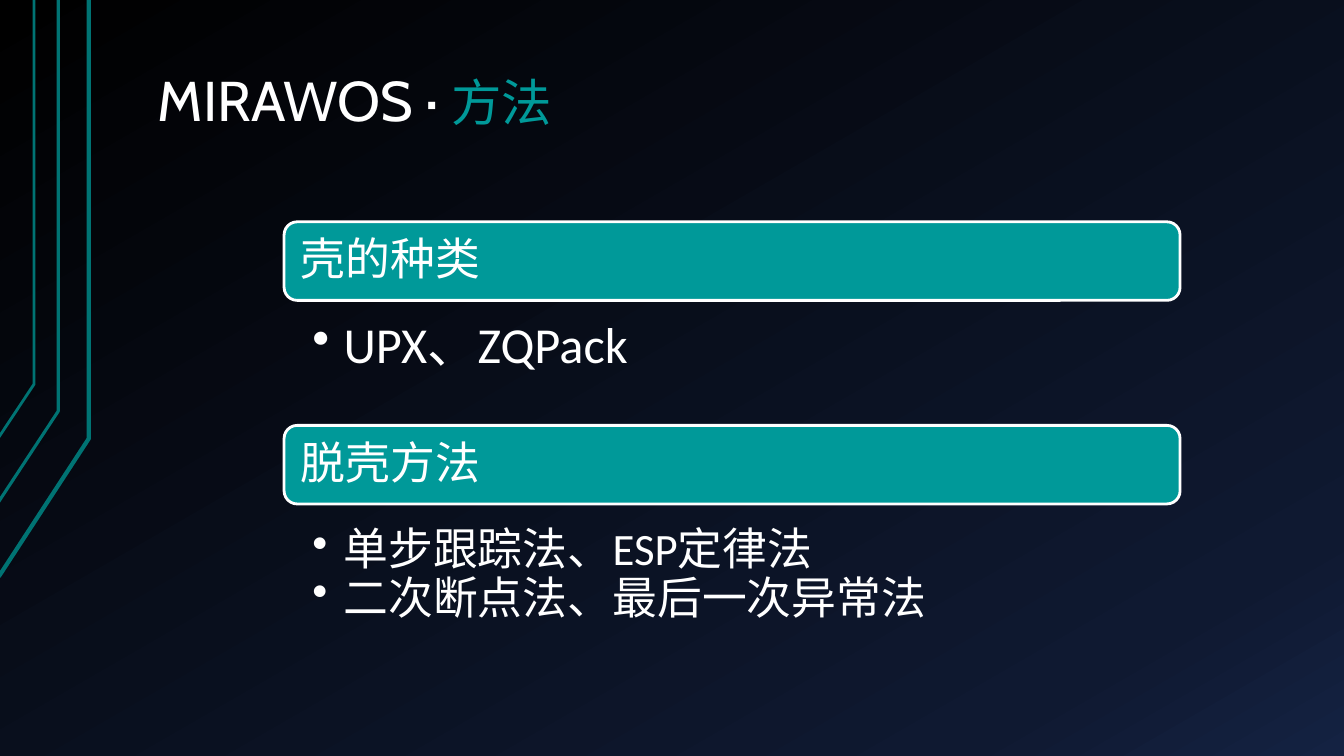
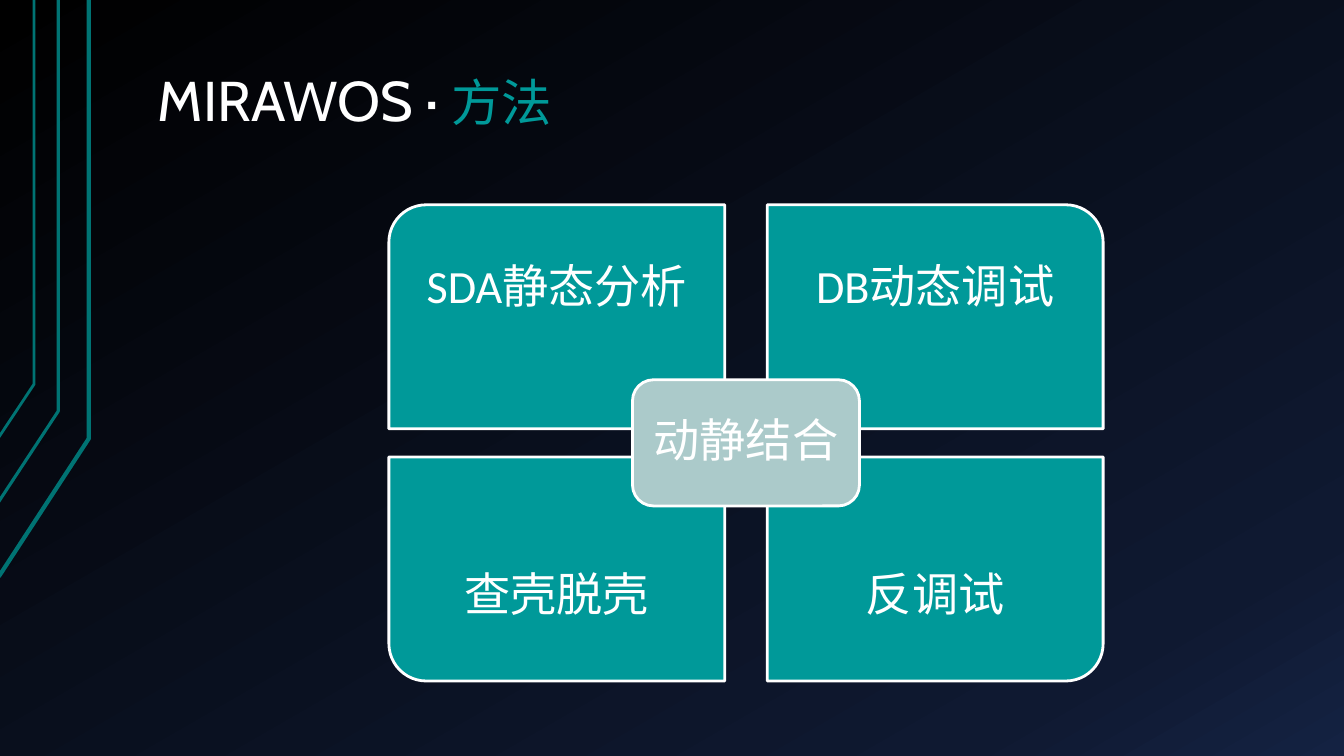
from copy import deepcopy

from lxml import etree
from pptx import Presentation
from pptx.dml.color import RGBColor
from pptx.enum import shapes as es, text as et
from pptx.oxml import ns
from pptx.util import Cm, Pt

WHITE = RGBColor(0xFF, 0xFF, 0xFF)
TEAL = RGBColor(0x00, 0x99, 0x99)
DEEP = RGBColor(0x00, 0x73, 0x73)
PALE = RGBColor(0xAB, 0xCA, 0xCA)
STOPS = [(0, RGBColor(0x00, 0x00, 0x00)),
         (0.85, RGBColor(0x0F, 0x19, 0x31)),
         (1, RGBColor(0x14, 0x22, 0x42))]
RAILS = [(2.24, 11.05, -0.03, 14.53, 3),
         (1.47, 10.36, -0.05, 12.67, 2.25),
         (0.86, 9.68, -0.03, 11.02, 2)]
KIND = es.MSO_SHAPE


def write(shape, lines, size=32, font="Calibri", color=WHITE, align=et.PP_ALIGN.LEFT,
          anchor=et.MSO_ANCHOR.MIDDLE, pad=(0.33, 0.33), space=0.9, dots=False):
    """Fill a shape with lines, each a string or a list of (text, size, colour) runs."""
    frame = shape.text_frame
    frame.word_wrap = True
    frame.vertical_anchor = anchor
    frame.margin_left = frame.margin_right = Cm(pad[0])
    frame.margin_top = frame.margin_bottom = Cm(pad[1])
    for i, line in enumerate(lines):
        para = frame.add_paragraph() if i else frame.paragraphs[0]
        para.alignment, para.line_spacing = align, space
        if dots:
            props = para._p.get_or_add_pPr()
            props.set("marL", str(Cm(0.79)))
            props.set("indent", str(-Cm(0.79)))
            etree.SubElement(props, ns.qn("a:buChar")).set("char", "•")
        for words, points, tint in [(line, size, color)] if isinstance(line, str) else line:
            run = para.add_run()
            run.text = words
            run.font.size, run.font.name = Pt(points), font
            run.font.color.rgb = tint


def area(slide, x, y, w, h, lines, **style):
    """Add a text box."""
    write(slide.shapes.add_textbox(Cm(x), Cm(y), Cm(w), Cm(h)), lines, **style)


def card(slide, kind, x, y, w, h, fill=TEAL, turn=0):
    """Add a filled card that covers the given box after its turn."""
    wide, high = (h, w) if turn % 180 else (w, h)
    shape = slide.shapes.add_shape(kind, Cm(x + (w - wide) / 2), Cm(y + (h - high) / 2),
                                   Cm(wide), Cm(high))
    shape.rotation = turn
    shape.shadow.inherit = False
    shape.fill.solid()
    shape.fill.fore_color.rgb = fill
    shape.line.color.rgb = WHITE
    shape.line.width = Pt(2)
    return shape


def base(deck):
    """Add a slide with the gradient, the side rails and the title."""
    slide = deck.slides.add_slide(deck.slide_layouts[6])
    fill = slide.background.fill
    fill.gradient()
    fill.gradient_angle = 300
    last = slide._element.xpath(".//a:gs")[-1]
    last.addnext(deepcopy(last))
    for stop, (place, color) in zip(fill.gradient_stops, STOPS):
        stop.position, stop.color.rgb = place, color
    for x, bend, left, foot, width in RAILS:
        path = slide.shapes.build_freeform(Cm(left), Cm(foot))
        path.add_line_segments([(Cm(x), Cm(bend)), (Cm(x), 0)], close=False)
        rail = path.convert_to_shape()
        rail.shadow.inherit = False
        rail.fill.background()
        rail.line.color.rgb = DEEP
        rail.line.width = Pt(width)
    area(slide, 3.73, 1.52, 10.64, 3.68, [[("MIRAWOS · ", 40, WHITE), ("方法", 36, TEAL)]],
         font="Cabin", anchor=et.MSO_ANCHOR.TOP, pad=(0.25, 0.13), space=1)
    return slide


def group(slide, x, y, w, head, items, size, gap):
    """Add a heading bar with its bullet list below."""
    high = 1.98
    write(card(slide, KIND.ROUNDED_RECTANGLE, x, y, w, high), [head])
    area(slide, x, y + high + gap, w, 1.9 * len(items), items, size=size, dots=True,
         anchor=et.MSO_ANCHOR.TOP, pad=(0.71, 0.12))


def grid(slide, x, y, w, h, names, core):
    """Add four quarter cards around a central card."""
    wide, high = (w - 1.07) / 2, (h - 0.71) / 2
    style = dict(size=33, align=et.PP_ALIGN.CENTER)
    for i, (name, turn) in enumerate(zip(names, (270, 0, 180, 90))):
        row, col = divmod(i, 2)
        left, top = x + col * (w - wide), y + row * (h - high)
        card(slide, KIND.ROUND_1_RECTANGLE, left, top, wide, high, turn=turn)
        area(slide, left, top + row * high / 4, wide, high * 3 / 4, [name],
             pad=(0.66, 0.66), **style)
    cw, ch = 5.72, 3.18
    hub = card(slide, KIND.ROUNDED_RECTANGLE, x + (w - cw) / 2, y + (h - ch) / 2, cw, ch, PALE)
    write(hub, [core], pad=(0.36, 0.36), **style)


def main():
    """Build and save the slides."""
    deck = Presentation()
    deck.slide_width, deck.slide_height = Cm(33.87), Cm(19.05)
    slide = base(deck)
    group(slide, 7.16, 5.59, 22.58, "壳的种类", ["UPX、ZQPack"], 36, 0.38)
    group(slide, 7.16, 10.72, 22.58, "脱壳方法",
          ["单步跟踪法、ESP定律法", "二次断点法、最后一次异常法"], 32, 0.46)
    grid(base(deck), 9.8, 5.16, 18, 12,
         ["SDA静态分析", "DB动态调试", "查壳脱壳", "反调试"], "动静结合")
    deck.save("out.pptx")


if __name__ == "__main__":
    main()
